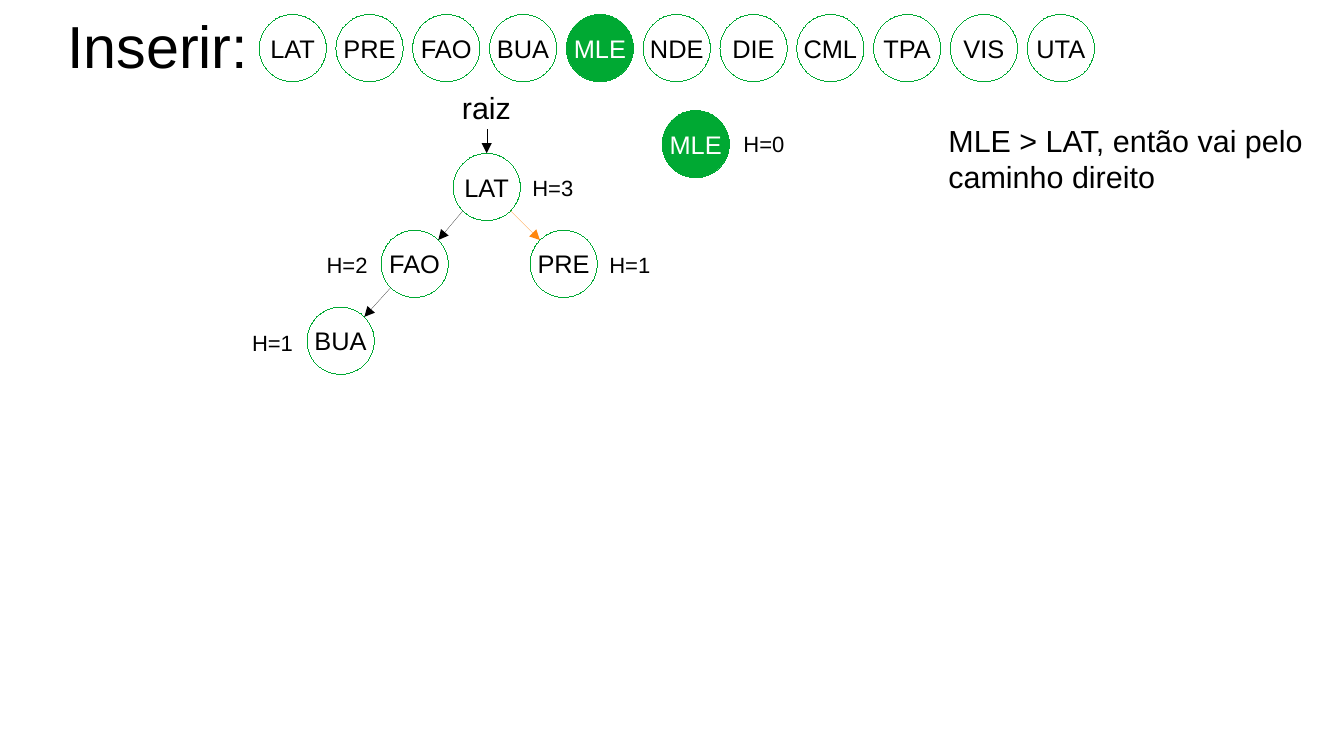
"""Build the slide that inserts MLE into a binary search tree."""
from math import sqrt

from lxml.etree import SubElement
from pptx import Presentation
from pptx.dml.color import RGBColor
from pptx.enum.shapes import MSO_CONNECTOR, MSO_SHAPE
from pptx.enum.text import MSO_ANCHOR, MSO_AUTO_SIZE, PP_ALIGN
from pptx.oxml.ns import qn
from pptx.util import Pt

COLORS = {"black": "000000", "white": "FFFFFF", "green": "00A933", "orange": "FF860D"}
FONT = "Arial"
HAIRLINE = 0.01
DIAMETER = 39.7
DIAGONAL = DIAMETER / 2 / sqrt(2)
QUEUE = ["LAT", "PRE", "FAO", "BUA", "MLE", "NDE", "DIE", "CML", "TPA", "VIS", "UTA"]
QUEUE_LEFT, QUEUE_TOP, QUEUE_STEP = 153, 8.5, 45.36
INSERTED = "MLE"
TREE = {
    "LAT": (267.6, 90.5),
    "FAO": (225, 135.9),
    "PRE": (313, 135.9),
    "BUA": (181.3, 181.3),
    "MLE": (391, 65.2),
}
EDGES = [("LAT", "FAO", "black"), ("LAT", "PRE", "orange"), ("FAO", "BUA", "black")]
HEIGHTS = [
    ("H=3", 307.3, 99.4),
    ("H=2", 185.8, 144.7),
    ("H=1", 352.8, 144.7),
    ("H=1", 141.8, 190.8),
    ("H=0", 432, 73.4),
]


def color(name):
    """Return the named colour."""
    return RGBColor.from_string(COLORS[name])


def format_text(frame, size, color_name, alignment):
    """Format every run of a text frame."""
    for para in frame.paragraphs:
        para.alignment = alignment
        for span in para.runs:
            span.font.name = FONT
            span.font.size = Pt(size)
            span.font.color.rgb = color(color_name)


def add_title(page, text):
    """Place and format the title placeholder."""
    title = page.shapes.title
    title.left, title.top, title.width, title.height = Pt(39.6), Pt(-10.8), Pt(113), Pt(74.9)
    frame = title.text_frame
    frame.text = text
    frame.margin_left = frame.margin_right = frame.margin_top = frame.margin_bottom = 0
    frame.vertical_anchor = MSO_ANCHOR.MIDDLE
    frame.auto_size = MSO_AUTO_SIZE.NONE
    format_text(frame, 35, "black", PP_ALIGN.LEFT)


def add_label(page, text, left, top, width, height, size):
    """Add a left-aligned text box."""
    box = page.shapes.add_textbox(Pt(left), Pt(top), Pt(width), Pt(height))
    frame = box.text_frame
    frame.text = text
    frame.word_wrap = True
    format_text(frame, size, "black", PP_ALIGN.LEFT)


def add_node(page, text, left, top):
    """Add a circular node, filled green when it is the inserted key."""
    inserted = text == INSERTED
    node = page.shapes.add_shape(
        MSO_SHAPE.OVAL, Pt(left), Pt(top), Pt(DIAMETER), Pt(DIAMETER))
    node.shadow.inherit = False
    node.fill.solid()
    node.fill.fore_color.rgb = color("green" if inserted else "white")
    node.line.color.rgb = color("green")
    node.line.width = Pt(HAIRLINE)
    frame = node.text_frame
    frame.text = text
    frame.word_wrap = False
    frame.vertical_anchor = MSO_ANCHOR.MIDDLE
    format_text(frame, 15, "white" if inserted else "black", PP_ALIGN.CENTER)


def add_arrow(page, start, end, color_name):
    """Add a hairline arrow between two points."""
    arrow = page.shapes.add_connector(
        MSO_CONNECTOR.STRAIGHT, *(Pt(value) for value in (*start, *end)))
    arrow.line.color.rgb = color(color_name)
    arrow.line.width = Pt(HAIRLINE)
    properties = arrow._element.spPr
    SubElement(properties.find(qn("a:ln")), qn("a:tailEnd"), type="triangle")
    SubElement(properties, qn("a:effectLst"))


def add_edge(page, parent, child, color_name):
    """Join the facing diagonal points of a parent and a child."""
    (parent_x, parent_y), (child_x, child_y) = (
        (left + DIAMETER / 2, top + DIAMETER / 2) for left, top in (TREE[parent], TREE[child]))
    shift = DIAGONAL if child_x > parent_x else -DIAGONAL
    add_arrow(page, (parent_x + shift, parent_y + DIAGONAL),
              (child_x - shift, child_y - DIAGONAL), color_name)


def main():
    """Build and save the slide."""
    deck = Presentation()
    deck.slide_width, deck.slide_height = Pt(793.7), Pt(446.4)
    page = deck.slides.add_slide(deck.slide_layouts[5])
    add_title(page, "Inserir:")
    for index, key in enumerate(QUEUE):
        add_node(page, key, QUEUE_LEFT + index * QUEUE_STEP, QUEUE_TOP)
    for key, (left, top) in TREE.items():
        add_node(page, key, left, top)
    for parent, child, color_name in EDGES:
        add_edge(page, parent, child, color_name)
    root_left, root_top = TREE["LAT"]
    root_center = root_left + DIAMETER / 2
    add_arrow(page, (root_center, 76.3), (root_center, root_top), "black")
    add_label(page, "raiz", 265.7, 49, 46, 27.4, 18)
    for text, left, top in HEIGHTS:
        add_label(page, text, left, top, 41, 21.6, 13)
    add_label(page, "MLE > LAT, então vai pelo\ncaminho direito", 553, 68.4, 228, 47.5, 18)
    deck.save("out.pptx")


if __name__ == "__main__":
    main()
